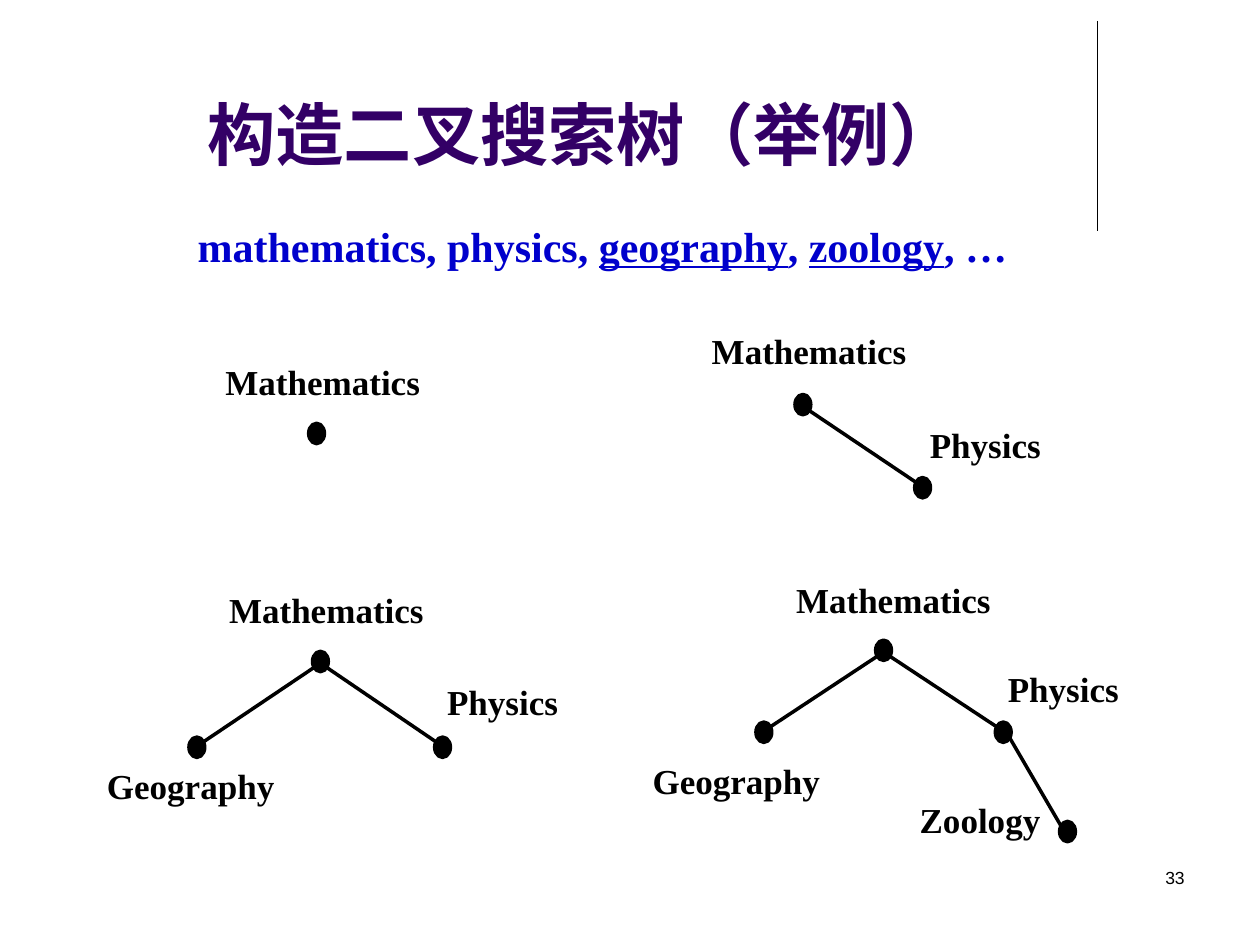
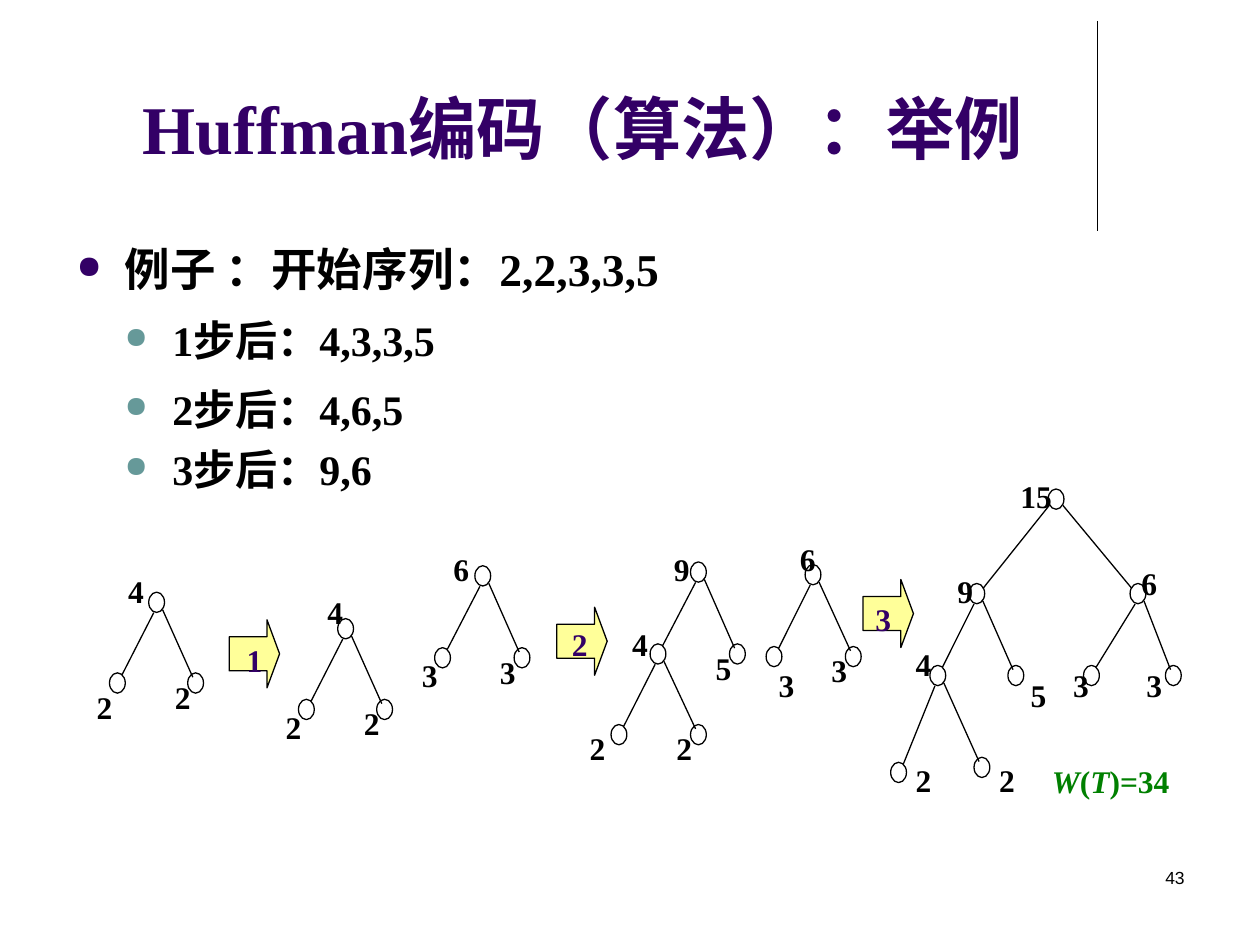
from collections import namedtuple

from lxml.etree import SubElement
from pptx import Presentation
from pptx.dml.color import RGBColor
from pptx.enum.shapes import MSO_CONNECTOR, MSO_SHAPE
from pptx.enum.text import MSO_ANCHOR, PP_ALIGN
from pptx.oxml.ns import qn
from pptx.util import Pt

BLACK = RGBColor(0x00, 0x00, 0x00)
WHITE = RGBColor(0xFF, 0xFF, 0xFF)
PURPLE = RGBColor(0x33, 0x00, 0x66)
TEAL = RGBColor(0x66, 0x99, 0x99)
BLUE = RGBColor(0x00, 0x00, 0xCC)
GREEN = RGBColor(0x00, 0x80, 0x00)
YELLOW = RGBColor(0xFF, 0xFF, 0x99)

SERIF = "Times New Roman"
NODE_WIDTH, NODE_HEIGHT = 9, 11.6
HANGING_INDENT = 27.4

Node = namedtuple("Node", "parent x y label label_x label_y")
TreeStyle = namedtuple("TreeStyle", "fill line_width font_size label_width")

SUBJECT_STYLE = TreeStyle(BLACK, 2, 20, 157)
HUFFMAN_STYLE = TreeStyle(WHITE, 0.75, 18, 40)

SUBJECT_TREES = [
    [Node(None, 176.4, 241.9, "Mathematics", 121.7, 202.3)],
    [
        Node(None, 454.3, 225.4, "Mathematics", 399.6, 185),
        Node(0, 522.7, 272.9, "Physics", 524.2, 238.3),
    ],
    [
        Node(None, 178.6, 372.2, "Mathematics", 123.8, 332.6),
        Node(0, 108, 421.2, "Geography", 54, 433.4),
        Node(0, 248.4, 421.2, "Physics", 248.4, 385.2),
    ],
    [
        Node(None, 500.4, 365.8, "Mathematics", 447.8, 326.9),
        Node(0, 432, 412.6, "Geography", 365.8, 430.6),
        Node(0, 568.8, 412.6, "Physics", 568.8, 378),
        Node(2, 605.5, 469.4, "Zoology", 518.4, 452.9),
    ],
]

HUFFMAN_TREES = [
    [
        Node(None, 85, 338.4, "4", 66.2, 323.3),
        Node(0, 62.6, 384.5, "2", 48.2, 389.5),
        Node(0, 107.3, 384.5, "2", 92.9, 383.8),
    ],
    [
        Node(None, 193, 353.5, "4", 180, 335.5),
        Node(0, 170.6, 399.6, "2", 156.2, 401),
        Node(0, 215.3, 399.6, "2", 200.9, 398.9),
    ],
    [
        Node(None, 271.4, 323.3, "6", 252, 311),
        Node(0, 248.4, 370.1, "3", 234, 371.5),
        Node(0, 293.8, 370.1, "3", 278.6, 369.4),
    ],
    [
        Node(None, 394.6, 321.1, "9", 378, 311),
        Node(0, 371.5, 367.9, "4", 354.2, 353.5),
        Node(0, 416.9, 367.9, "5", 401.8, 367.2),
        Node(1, 349.2, 414, "2", 329.8, 413.3),
        Node(1, 394.6, 414, "2", 379.4, 413.3),
    ],
    [
        Node(None, 460.1, 322.6, "6", 450, 305.3),
        Node(0, 437.8, 369.4, "3", 437.8, 377.3),
        Node(0, 483.1, 369.4, "3", 468, 368.6),
    ],
    [
        Node(None, 599, 279.4, "15", 576, 269.3),
        Node(0, 553.7, 333.4, "9", 540, 323.3),
        Node(0, 645.8, 333.4, "6", 645.1, 319),
        Node(1, 531.4, 380.2, "4", 516.2, 365),
        Node(1, 576, 380.2, "5", 581.8, 383),
        Node(2, 619.2, 380.2, "3", 606.2, 377.3),
        Node(2, 666, 380.2, "3", 648, 377.3),
        Node(3, 509, 435.6, "2", 516.2, 431.3),
        Node(3, 556.6, 432.7, "2", 563.8, 431.3),
    ],
]

STEP_ARROWS = [
    ("1", 131, 354.2, 133.9, 362.9),
    ("2", 318.2, 347, 319.7, 353.5),
    ("3", 493.2, 331.2, 493.2, 339.1),
]

BODY_LINES = [
    ("例子 ：开始序列：2,2,3,3,5", 0, 0),
    ("1步后：4,3,3,5", 1, 4.8),
    ("2步后：4,6,5", 1, 4.8),
    ("3步后：9,6", 1, 0),
]


def style_paragraph(paragraph, size, color, bold=True, font_name=SERIF):
    font = paragraph.font
    font.name, font.size, font.bold = font_name, Pt(size), bold
    font.color.rgb = color


def add_text_frame(slide, left, top, width, height):
    box = slide.shapes.add_textbox(Pt(left), Pt(top), Pt(width), Pt(height))
    box.text_frame.word_wrap = True
    return box.text_frame


def add_text(slide, bounds, text, size, color, alignment=PP_ALIGN.LEFT, **font_options):
    frame = add_text_frame(slide, *bounds)
    paragraph = frame.paragraphs[0]
    paragraph.text = text
    paragraph.alignment = alignment
    style_paragraph(paragraph, size, color, **font_options)
    return frame


def add_line(slide, start, end, width):
    line = slide.shapes.add_connector(
        MSO_CONNECTOR.STRAIGHT, *(Pt(value) for value in (*start, *end)))
    line.line.color.rgb = BLACK
    line.line.width = Pt(width)
    SubElement(line._element.spPr, qn("a:effectLst"))


def add_outlined_shape(slide, kind, bounds, fill, line_width):
    shape = slide.shapes.add_shape(kind, *(Pt(value) for value in bounds))
    shape.shadow.inherit = False
    shape.fill.solid()
    shape.fill.fore_color.rgb = fill
    shape.line.color.rgb = BLACK
    shape.line.width = Pt(line_width)
    return shape


def add_edge(slide, parent, child, line_width):
    across, down = child.x - parent.x, child.y - parent.y
    if abs(across) > 0.6 * down:
        start_x, start_y, end_x, end_y = 8.4, 9.4, 1, 2.9
    elif across > 0:
        start_x, start_y, end_x, end_y = 7.9, 10, 2.9, 2.5
    else:
        start_x, start_y, end_x, end_y = 6.1, 11.7, 1.8, 1
    if across < 0:
        start_x, end_x = NODE_WIDTH - start_x, NODE_WIDTH - end_x
    add_line(slide, (parent.x + start_x, parent.y + start_y),
             (child.x + end_x, child.y + end_y), line_width)


def add_tree(slide, nodes, style):
    for node in nodes:
        bounds = (node.x, node.y, NODE_WIDTH, NODE_HEIGHT)
        add_outlined_shape(slide, MSO_SHAPE.OVAL, bounds, style.fill, style.line_width)
    for node in nodes:
        if node.parent is not None:
            add_edge(slide, nodes[node.parent], node, style.line_width)
    for node in nodes:
        bounds = (node.label_x, node.label_y, style.label_width, 34)
        add_text(slide, bounds, node.label, style.font_size, BLACK, PP_ALIGN.JUSTIFY)


def add_step_arrow(slide, step, left, top, label_left, label_top):
    arrow = add_outlined_shape(
        slide, MSO_SHAPE.RIGHT_ARROW, (left, top, 28.8, 38.9), YELLOW, 0.75)
    arrow.adjustments[0], arrow.adjustments[1] = 0.5, 0.25
    add_text(slide, (label_left, label_top, 36, 28.8), step, 18, PURPLE)


def add_bullet(paragraph, level, color):
    properties = paragraph._p.get_or_add_pPr()
    properties.set("marL", str(Pt(HANGING_INDENT * (level + 1))))
    properties.set("indent", str(-Pt(HANGING_INDENT)))
    bullet_color = SubElement(properties, qn("a:buClr"))
    SubElement(bullet_color, qn("a:srgbClr"), val=str(color))
    SubElement(properties, qn("a:buSzPct"), val="70000")
    SubElement(properties, qn("a:buChar"), char="●")


def add_bullet_list(slide, bounds, lines):
    frame = add_text_frame(slide, *bounds)
    for index, (text, level, space_before) in enumerate(lines):
        paragraph = frame.add_paragraph() if index else frame.paragraphs[0]
        paragraph.text = text
        paragraph.line_spacing = 1.2
        if space_before:
            paragraph.space_before = Pt(space_before)
        add_bullet(paragraph, level, TEAL if level else PURPLE)
        style_paragraph(paragraph, 24 if level else 26, BLACK)


def add_styled_runs(slide, bounds, runs, size, color, alignment, emphasis):
    paragraph = add_text_frame(slide, *bounds).paragraphs[0]
    paragraph.alignment = alignment
    style_paragraph(paragraph, size, color)
    for text, emphasized in runs:
        run = paragraph.add_run()
        run.text = text
        if emphasized:
            setattr(run.font, emphasis, True)
    return paragraph


def add_base_slide(presentation, title, title_height, number):
    slide = presentation.slides.add_slide(presentation.slide_layouts[6])
    add_line(slide, (627, 12), (627, 132), 0.75)
    title_frame = add_text(
        slide, (36, 9.4, 594, title_height), title, 39, PURPLE, PP_ALIGN.CENTER)
    title_frame.vertical_anchor = MSO_ANCHOR.BOTTOM
    add_text(slide, (516, 492, 168, 36), number, 10, BLACK, PP_ALIGN.RIGHT,
             bold=False, font_name="Arial")
    return slide


def build_search_tree_slide(presentation):
    slide = add_base_slide(presentation, "构造二叉搜索树（举例）", 93.6, "33")
    words = [("mathematics, physics, ", False), ("geography", True), (", ", False),
             ("zoology", True), (", …", False)]
    sequence = add_styled_runs(slide, (25.2, 116.6, 638, 51), words, 24, BLUE,
                               PP_ALIGN.CENTER, "underline")
    sequence.line_spacing = 1.2
    for tree in SUBJECT_TREES:
        add_tree(slide, tree, SUBJECT_STYLE)


def build_huffman_slide(presentation):
    slide = add_base_slide(presentation, "Huffman编码（算法）：举例", 90, "43")
    add_bullet_list(slide, (36.7, 128.2, 648, 158.4), BODY_LINES)
    for tree in HUFFMAN_TREES:
        add_tree(slide, tree, HUFFMAN_STYLE)
    for arrow in STEP_ARROWS:
        add_step_arrow(slide, *arrow)
    weight = [("W", True), ("(", False), ("T", True), (")=34", False)]
    add_styled_runs(slide, (594, 432, 92, 71), weight, 18, GREEN,
                    PP_ALIGN.JUSTIFY, "italic")


def main():
    presentation = Presentation()
    presentation.slide_width, presentation.slide_height = Pt(720), Pt(540)
    build_search_tree_slide(presentation)
    build_huffman_slide(presentation)
    presentation.save("out.pptx")


if __name__ == "__main__":
    main()
